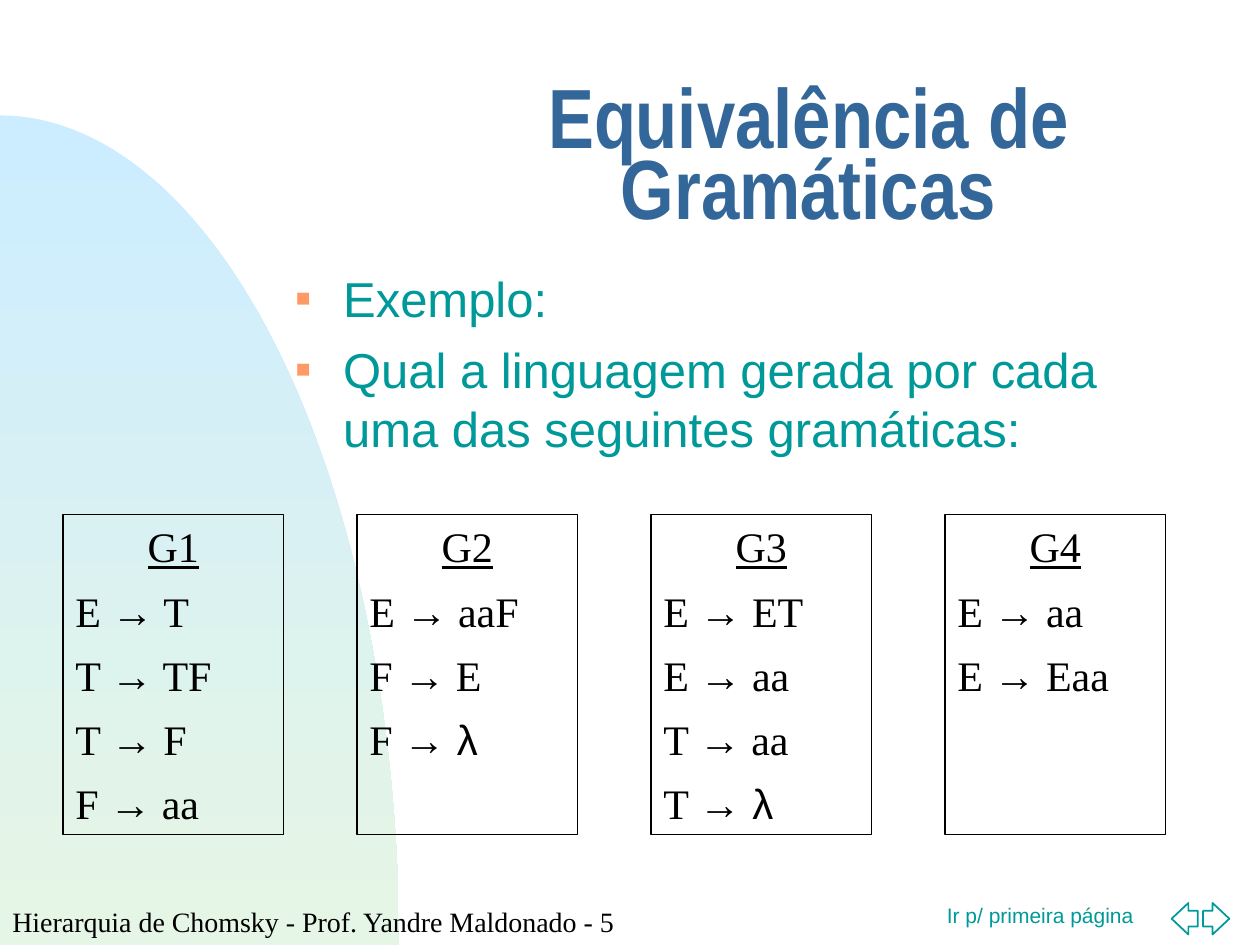
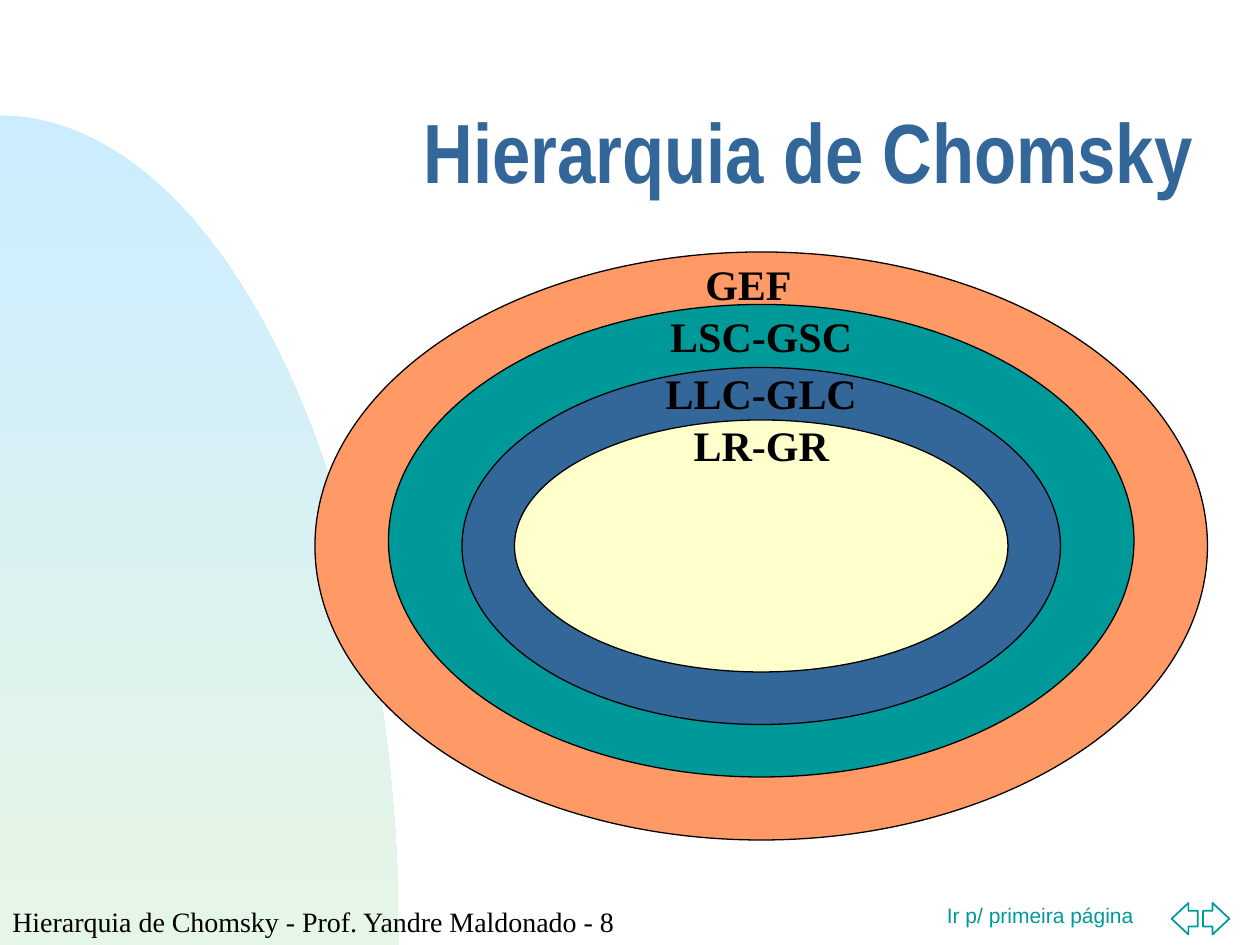
"""Build two slides on grammars and the Chomsky hierarchy."""
from math import cos, pi, sin
from typing import NamedTuple

from lxml import etree
from pptx import Presentation
from pptx import util as u
from pptx.dml import color
from pptx.enum import shapes, text
from pptx.oxml import ns

INK, TEAL, BLUE, CORAL = "010000", "009999", "336699", "FF9966"
CREAM, WHITE = "FFFFCC", "FFFFFF"
SERIF, SANS, SLIM = "Times New Roman", "Arial", "Arial Narrow"
KIND, ALIGN = shapes.MSO_SHAPE, text.PP_ALIGN


class Box(NamedTuple):
    """Left, top, width and height in points."""
    x: float
    y: float
    w: float
    h: float


class Ring(NamedTuple):
    """One oval of the hierarchy with its label."""
    name: str
    fill: str
    box: Box
    top: float
    wide: float
    align: ALIGN = ALIGN.CENTER


class Gram(NamedTuple):
    """A grammar and its rules, each a left and a right side."""
    name: str
    rules: list


GRAMS = [
    Gram("G1", [("E", "T"), ("T", "TF"), ("T", "F"), ("F", "aa")]),
    Gram("G2", [("E", "aaF"), ("F", "E"), ("F", "λ")]),
    Gram("G3", [("E", "ET"), ("E", "aa"), ("T", "aa"), ("T", "λ")]),
    Gram("G4", [("E", "aa"), ("E", "Eaa")]),
]
RINGS = [
    Ring("GEF", CORAL, Box(180, 144, 510, 336), 144, 78, ALIGN.LEFT),
    Ring("LSC-GSC", TEAL, Box(222, 174, 426, 270), 174, 150),
    Ring("LLC-GLC", BLUE, Box(264, 210, 342, 204), 206.5, 126),
    Ring("LR-GR", CREAM, Box(294, 240, 282, 144), 236, 102),
]
ASKS = ["Exemplo:", "Qual a linguagem gerada por cada uma das seguintes gramáticas:"]


def rgb(code: str) -> color.RGBColor:
    """Turn a hex string into a colour."""
    return color.RGBColor.from_string(code)


def pts(box: Box) -> list:
    """Turn a box into lengths."""
    return [u.Pt(v) for v in box]


def put(par, words: str, size: float = 24, face: str = SERIF, ink: str = INK,
        bold: bool = False, line: bool = False) -> None:
    """Add a run of text with its format."""
    run = par.add_run()
    run.text = words
    font = run.font
    font.size, font.name, font.bold, font.underline = u.Pt(size), face, bold, line
    font.color.rgb = rgb(ink)


def frame(shape, anchor=text.MSO_ANCHOR.TOP):
    """Set wrap, anchor and margins, and return the text frame."""
    tf = shape.text_frame
    tf.word_wrap, tf.auto_size = True, text.MSO_AUTO_SIZE.NONE
    tf.vertical_anchor = anchor
    tf.margin_left = tf.margin_right = u.Pt(7.2)
    tf.margin_top = tf.margin_bottom = u.Pt(3.6)
    return tf


def label(slide, box: Box, words: str, align=ALIGN.LEFT, **look) -> None:
    """Add a text box of one paragraph."""
    par = frame(slide.shapes.add_textbox(*pts(box))).paragraphs[0]
    par.alignment = align
    put(par, words, **look)


def draw(slide, kind, box: Box, fill: str = "", line: str = INK, width: float = 0.75):
    """Add a preset shape; without a fill it is clear."""
    shape = slide.shapes.add_shape(kind, *pts(box))
    shape.shadow.inherit = False
    if fill:
        shape.fill.solid()
        shape.fill.fore_color.rgb = rgb(fill)
    else:
        shape.fill.background()
    shape.line.color.rgb, shape.line.width = rgb(line), u.Pt(width)
    return shape


def arc(slide) -> None:
    """Draw the shaded quarter oval at the left."""
    steps = 60
    turns = [pi / 2 * i / steps for i in range(steps + 1)]
    dots = [(u.Pt(228 * sin(t)), u.Pt(540 - 474 * cos(t))) for t in turns]
    pen = slide.shapes.build_freeform(*dots[0])
    pen.add_line_segments(dots[1:] + [(0, u.Pt(540))], close=True)
    shape = pen.convert_to_shape()
    shape.shadow.inherit = False
    shape.line.fill.background()
    shape.fill.gradient()
    shape.fill.gradient_angle = 270
    for stop, (spot, code) in zip(shape.fill.gradient_stops, [(0, "CCECFF"), (1, "E6F6E6")]):
        stop.position, stop.color.rgb = spot, rgb(code)


def start(deck, title: str, page: int):
    """Add a slide with its title, arc and footer."""
    slide = deck.slides.add_slide(deck.slide_layouts[5])
    arc(slide)
    head = slide.shapes.title
    head.left, head.top, head.width, head.height = pts(Box(222, 48, 480, 90))
    par = frame(head, text.MSO_ANCHOR.MIDDLE).paragraphs[0]
    par.alignment, par.line_spacing = ALIGN.CENTER, 0.7
    put(par, title, size=48, face=SLIM, ink=BLUE, bold=True)
    label(slide, Box(534, 512, 156, 28), "Ir p/ primeira página", size=12, face=SANS, ink=TEAL)
    for kind, x in [(KIND.LEFT_ARROW, 669.5), (KIND.RIGHT_ARROW, 687.5)]:
        arrow = draw(slide, kind, Box(x, 516, 15, 18), WHITE, TEAL, 1)
        arrow.adjustments[0], arrow.adjustments[1] = 0.5, 0.64
    label(slide, Box(0, 513.4, 366, 26.6),
          f"Hierarquia de Chomsky - Prof. Yandre Maldonado - {page}", size=16)
    return slide


def bullet(par) -> None:
    """Give a paragraph a small square bullet and a hanging indent."""
    props = par._p.get_or_add_pPr()
    props.set("marL", str(u.Pt(27)))
    props.set("indent", str(-u.Pt(27)))
    tint = etree.SubElement(props, ns.qn("a:buClr"))
    etree.SubElement(tint, ns.qn("a:srgbClr"), val=CORAL)
    etree.SubElement(props, ns.qn("a:buSzPct"), val="50000")
    etree.SubElement(props, ns.qn("a:buFont"), typeface=SANS)
    etree.SubElement(props, ns.qn("a:buChar"), char="■")


def asks(slide) -> None:
    """Write the bulleted question."""
    tf = frame(slide.shapes.add_textbox(*pts(Box(162, 150, 480, 120))))
    for i, words in enumerate(ASKS):
        par = tf.add_paragraph() if i else tf.paragraphs[0]
        bullet(par)
        if i:
            par.space_before = u.Pt(7)
        put(par, words, size=28, face=SANS, ink=TEAL)


def card(slide, gram: Gram, x: float) -> None:
    """Draw the frame of one grammar with its rules."""
    tf = frame(draw(slide, KIND.RECTANGLE, Box(x, 294, 126, 183)))
    par = tf.paragraphs[0]
    par.alignment = ALIGN.CENTER
    put(par, gram.name, line=True)
    for left, right in gram.rules:
        par = tf.add_paragraph()
        par.alignment, par.line_spacing = ALIGN.LEFT, 0.75
        par.space_before = u.Pt(15)
        put(par, left + " ")
        put(par, "→", face=SANS)
        put(par, " " + right, face=SANS if right == "λ" else SERIF)


def rings(slide) -> None:
    """Draw the nested ovals, then their labels on top."""
    for ring in RINGS:
        draw(slide, KIND.OVAL, ring.box, ring.fill)
    for ring in RINGS:
        mid = ring.box.x + ring.box.w / 2
        spot = Box(mid - ring.wide / 2, ring.top, ring.wide, 36)
        label(slide, spot, ring.name, ring.align, bold=True)


def main() -> None:
    """Build and save the deck."""
    deck = Presentation()
    deck.slide_width, deck.slide_height = u.Pt(720), u.Pt(540)
    slide = start(deck, "Equivalência de Gramáticas", 5)
    asks(slide)
    for i, gram in enumerate(GRAMS):
        card(slide, gram, 36 + 168 * i)
    rings(start(deck, "Hierarquia de Chomsky", 8))
    deck.save("out.pptx")


if __name__ == "__main__":
    main()
